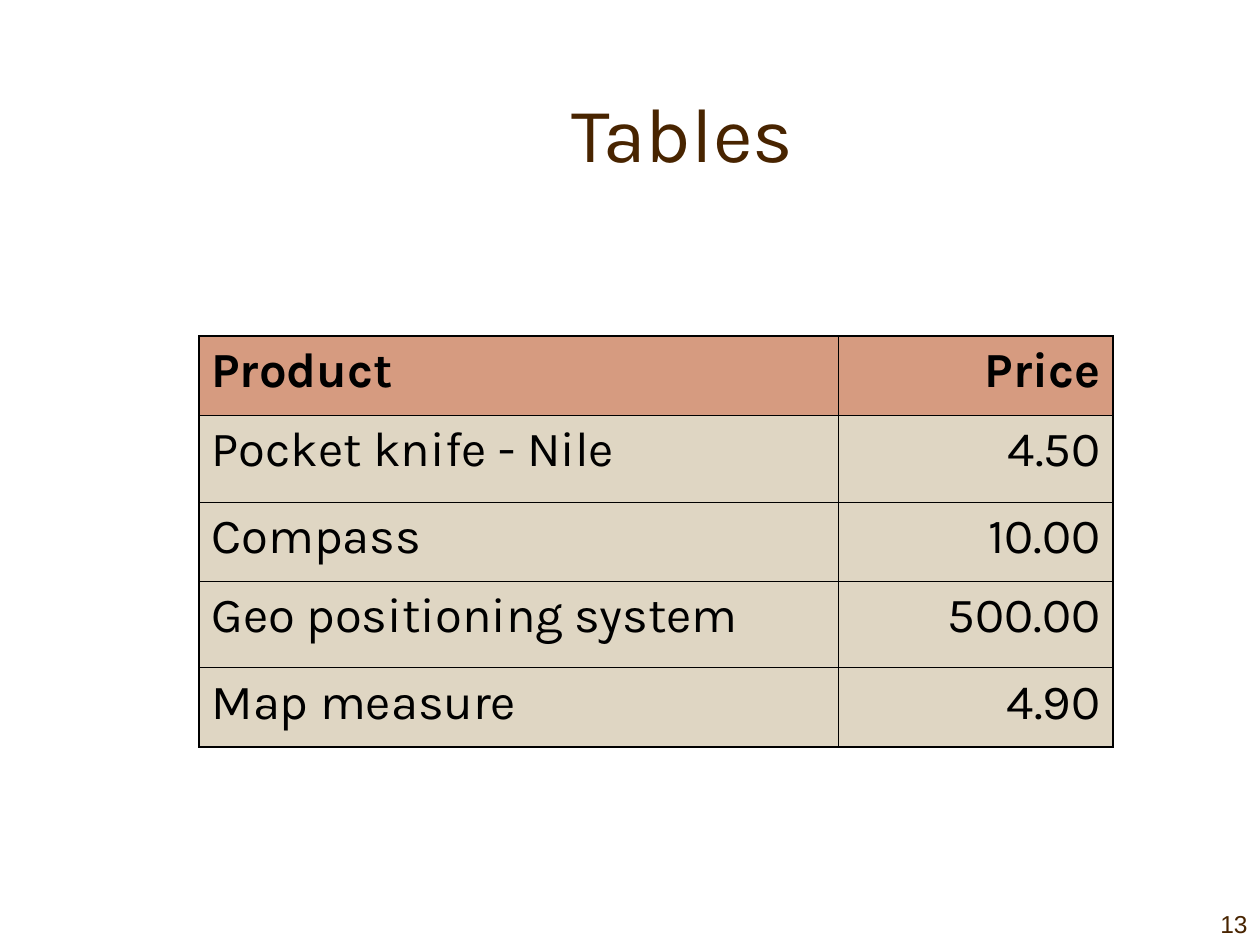
import pptx
import pptx.dml.color
import pptx.enum.text
import pptx.oxml.ns
import pptx.util
from lxml import etree

PX = 914400 / 126
BROWN, BLACK = "482400", "000000"
HEADER_FILL, BODY_FILL = "D69B80", "DFD6C3"
THICK, THIN = 1.08, 0.45
ALIGN = pptx.enum.text.PP_ALIGN
ANCHOR = pptx.enum.text.MSO_ANCHOR

ROWS = [
    ("Product", "Price"),
    ("Pocket knife - Nile", "4.50"),
    ("Compass", "10.00"),
    ("Geo positioning system", "500.00"),
    ("Map measure", "4.90"),
]
COLUMN_WIDTHS = [639, 275]
ROW_HEIGHTS = [79, 87, 79, 87, 79]


def px(length):
    """Turn pixels into EMU."""
    return pptx.util.Emu(round(length * PX))


def color(value):
    """Turn a hex string into a colour."""
    return pptx.dml.color.RGBColor.from_string(value)


def style_text(para, size, font, ink, align, bold=False):
    """Align a paragraph and format its runs."""
    para.alignment = align
    for span in para.runs:
        span.font.size = pptx.util.Pt(size)
        span.font.name = font
        span.font.bold = bold
        span.font.color.rgb = color(ink)


def add_label(page, area, text, size, font, align, anchor):
    """Place one line of brown text in the given area."""
    box = page.shapes.add_textbox(*map(px, area))
    frame = box.text_frame
    frame.word_wrap = True
    frame.vertical_anchor = anchor
    frame.text = text
    style_text(frame.paragraphs[0], size, font, BROWN, align)


def add_border(cell, side, width):
    """Draw one black border of a cell."""
    properties = cell._tc.get_or_add_tcPr()
    line = etree.SubElement(properties, pptx.oxml.ns.qn(f"a:ln{side}"))
    line.set("w", str(pptx.util.Pt(width)))
    fill = etree.SubElement(line, pptx.oxml.ns.qn("a:solidFill"))
    etree.SubElement(fill, pptx.oxml.ns.qn("a:srgbClr")).set("val", BLACK)


def add_price_table(page, left, top):
    """Place the price table with a header row and a thicker outline."""
    size = (sum(COLUMN_WIDTHS), sum(ROW_HEIGHTS))
    area = map(px, (left, top, *size))
    table = page.shapes.add_table(len(ROWS), len(COLUMN_WIDTHS), *area).table
    table.horz_banding = False
    for column, width in zip(table.columns, COLUMN_WIDTHS):
        column.width = px(width)
    for row, height in zip(table.rows, ROW_HEIGHTS):
        row.height = px(height)
    last_row, last_column = len(ROWS) - 1, len(COLUMN_WIDTHS) - 1
    for r, texts in enumerate(ROWS):
        for c, text in enumerate(texts):
            cell = table.cell(r, c)
            outer = {"L": c == 0, "R": c == last_column, "T": r == 0, "B": r == last_row}
            for side, is_outer in outer.items():
                add_border(cell, side, THICK if is_outer else THIN)
            cell.fill.solid()
            cell.fill.fore_color.rgb = color(BODY_FILL if r else HEADER_FILL)
            cell.text_frame.text = text
            para = cell.text_frame.paragraphs[0]
            para.space_before = pptx.util.Pt(7)
            style_text(para, 28, "Karla", BLACK, ALIGN.RIGHT if c else ALIGN.LEFT, r == 0)


def main():
    """Build the slide and save it."""
    deck = pptx.Presentation()
    deck.slide_width, deck.slide_height = px(1260), px(945)
    page = deck.slides.add_slide(deck.slide_layouts[6])
    add_label(page, (147, 53, 1071, 158), "Tables", 44, "Karla", ALIGN.CENTER, ANCHOR.MIDDLE)
    add_price_table(page, 199, 336)
    add_label(page, (1134, 882, 126, 63), "13", 14, "Arial", ALIGN.RIGHT, ANCHOR.BOTTOM)
    deck.save("out.pptx")


if __name__ == "__main__":
    main()
